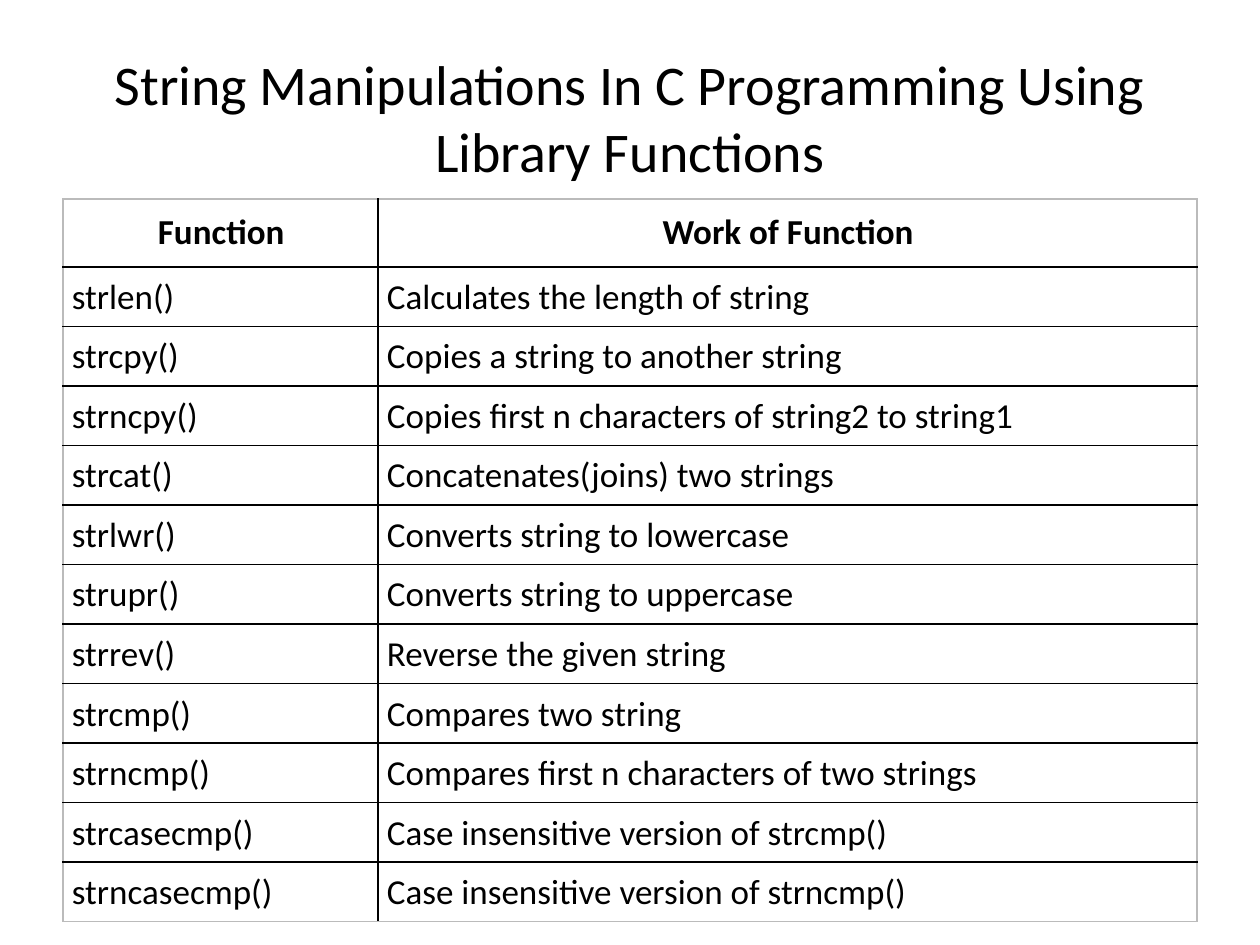
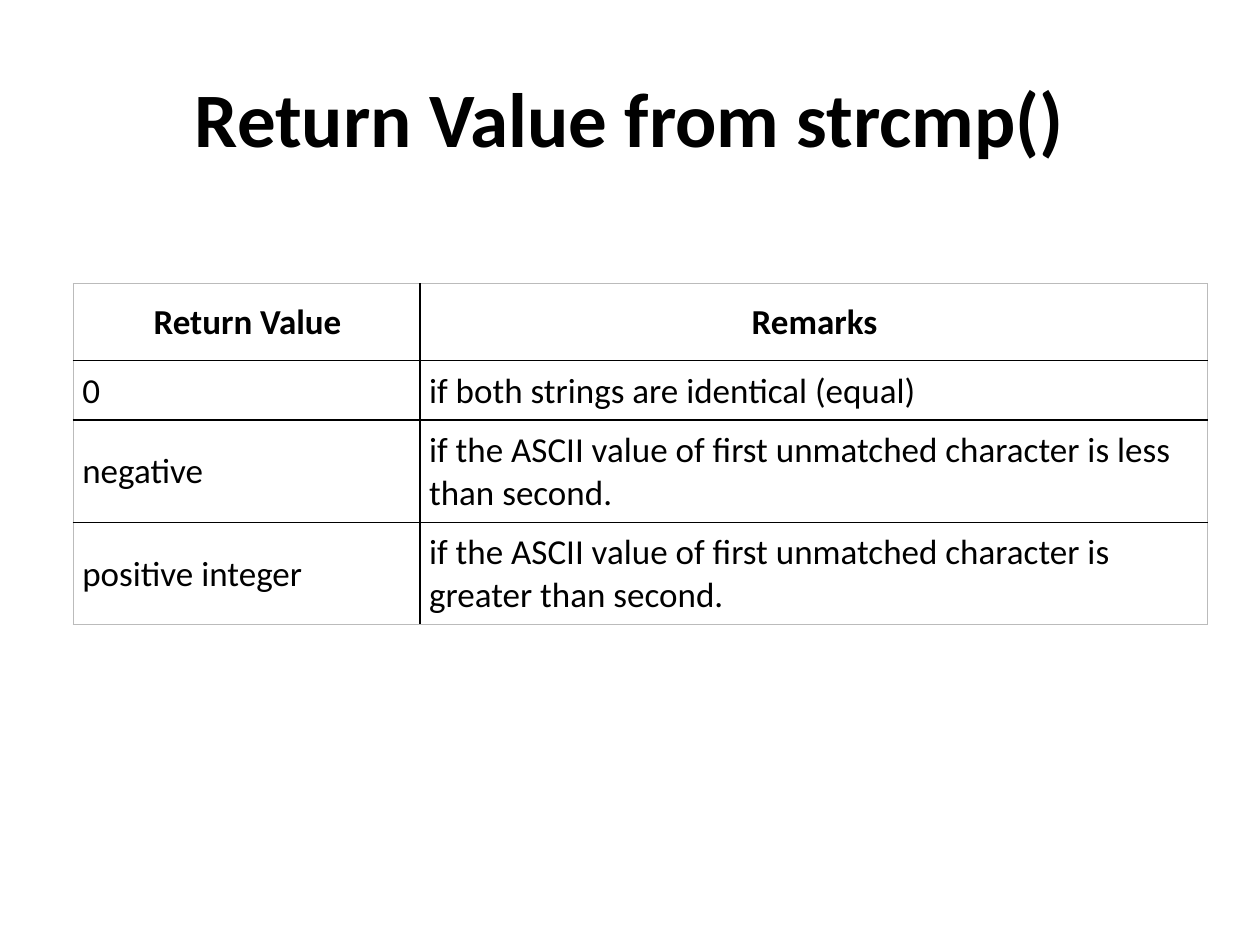
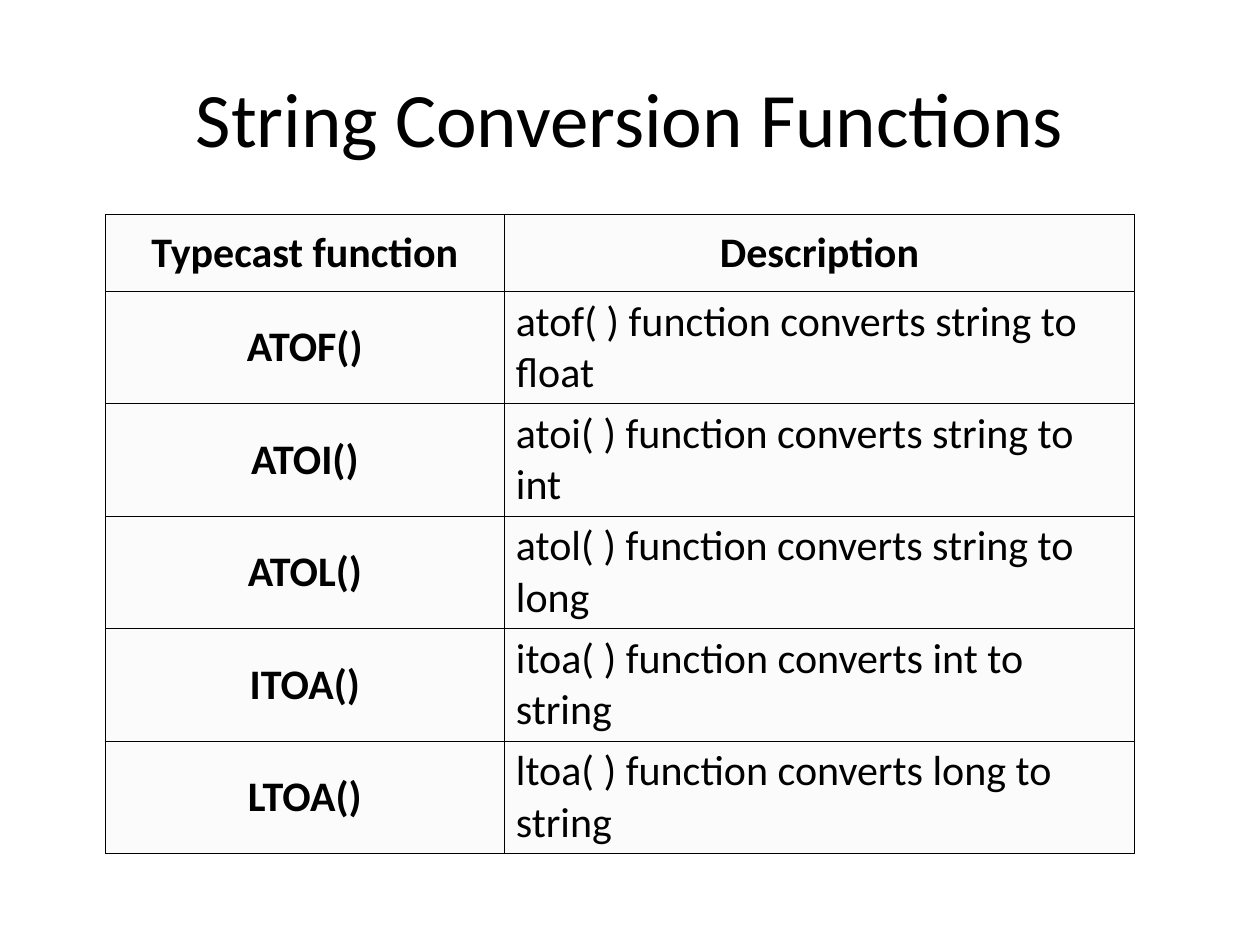
from lxml import etree
from pptx import Presentation
from pptx.dml.color import RGBColor
from pptx.enum.text import MSO_ANCHOR, PP_ALIGN
from pptx.oxml.ns import qn
from pptx.util import Cm, Pt

MIDDLE = MSO_ANCHOR.MIDDLE
CENTER = PP_ALIGN.CENTER
LEFT = PP_ALIGN.LEFT
COLORS = {"ink": "000000", "edge": "BBBBBB", "pale": "FBFBFB"}
FONT = "Calibri"
TITLE_ONLY = 5


class Deck:
    def __init__(self):
        self.prs = Presentation()
        self.prs.slide_width = Cm(25.4)
        self.prs.slide_height = Cm(19.05)
        self.slide = None

    def style(self, para, size, bold, align):
        para.alignment = align
        font = para.font
        font.name = FONT
        font.size = Pt(size)
        font.bold = bold
        font.color.rgb = RGBColor.from_string(COLORS["ink"])

    def title(self, text, size=44, bold=False):
        self.slide = self.prs.slides.add_slide(self.prs.slide_layouts[TITLE_ONLY])
        box = self.slide.shapes.title
        box.left, box.top = Cm(1.27), Cm(0.76)
        box.width, box.height = Cm(22.86), Cm(3.18)
        frame = box.text_frame
        frame.text = text
        frame.vertical_anchor = MIDDLE
        self.style(frame.paragraphs[0], size, bold, CENTER)

    def border(self, cell, side, color, width):
        line = etree.SubElement(cell._tc.get_or_add_tcPr(), qn("a:ln" + side),
                                w=str(Pt(width)))
        fill = etree.SubElement(line, qn("a:solidFill"))
        etree.SubElement(fill, qn("a:srgbClr"), val=COLORS[color])

    def pad(self, cell, insets):
        (cell.margin_left, cell.margin_top,
         cell.margin_right, cell.margin_bottom) = map(Cm, insets)

    def table(self, rows, left, top, widths, heights, size=20, line=1,
              edge="edge", fill=None, keys=False,
              head=(0.18, 0.25, 0.15, 0.25), body=(0.18, 0.18, 0.15, 0.15)):
        count, wide = len(rows), len(widths)
        grid = self.slide.shapes.add_table(
            count, wide, Cm(left), Cm(top), Cm(sum(widths)), Cm(sum(heights))).table
        grid.first_row = grid.horz_banding = False
        for col, width in zip(grid.columns, widths):
            col.width = Cm(width)
        for row, height in zip(grid.rows, heights):
            row.height = Cm(height)
        for r, row in enumerate(rows):
            for c, text in enumerate(row):
                cell = grid.cell(r, c)
                cell.text = text
                cell.vertical_anchor = MIDDLE
                self.pad(cell, body if r else head)
                strong = r == 0 or (keys and c == 0)
                self.style(cell.text_frame.paragraphs[0], size, strong,
                           CENTER if strong else LEFT)
                outer = {"L": c == 0, "R": c == wide - 1,
                         "T": r == 0, "B": r == count - 1}
                for side, rim in outer.items():
                    self.border(cell, side, edge if rim else "ink", line)
                if fill:
                    cell.fill.solid()
                    cell.fill.fore_color.rgb = RGBColor.from_string(COLORS[fill])
                else:
                    cell.fill.background()


deck = Deck()

deck.title("String Manipulations In C Programming Using Library Functions", size=32)
work = [
    ("Function", "Work of Function"),
    ("strlen()", "Calculates the length of string"),
    ("strcpy()", "Copies a string to another string"),
    ("strncpy()", "Copies first n characters of string2 to string1"),
    ("strcat()", "Concatenates(joins) two strings"),
    ("strlwr()", "Converts string to lowercase"),
    ("strupr()", "Converts string to uppercase"),
    ("strrev()", "Reverse the given string"),
    ("strcmp()", "Compares two string"),
    ("strncmp()", "Compares first n characters of two strings"),
    ("strcasecmp()", "Case insensitive version of strcmp()"),
    ("strncasecmp()", "Case insensitive version of strncmp()"),
]
deck.table(work, 1.27, 4.01, (6.35, 16.51), [1.37] + [1.2] * 11)

deck.title("Return Value from strcmp()", bold=True)
values = [
    ("Return Value", "Remarks"),
    ("0", "if both strings are identical (equal)"),
    ("negative", "if the ASCII value of first unmatched character is less than second."),
    ("positive integer",
     "if the ASCII value of first unmatched character is greater than second."),
]
deck.table(values, 1.48, 5.72, (6.99, 15.87), (1.55, 1.2, 2.06, 2.06))

deck.title("String Conversion Functions")
casts = [("Typecast function", "Description")]
for name, source, target in (
        ("atof", "string", "float"), ("atoi", "string", "int"),
        ("atol", "string", "long"), ("itoa", "int", "string"),
        ("ltoa", "long", "string")):
    casts.append((f"{name.upper()}()",
                  f"{name}( ) function converts {source} to {target}"))
inset = (0.23, 0.1, 0.23, 0.1)
deck.table(casts, 2.12, 4.32, (8.05, 12.7), [1.55] + [2.21] * 5, size=24, line=0.5,
           edge="ink", fill="pale", keys=True, head=inset, body=inset)

deck.prs.save("out.pptx")
